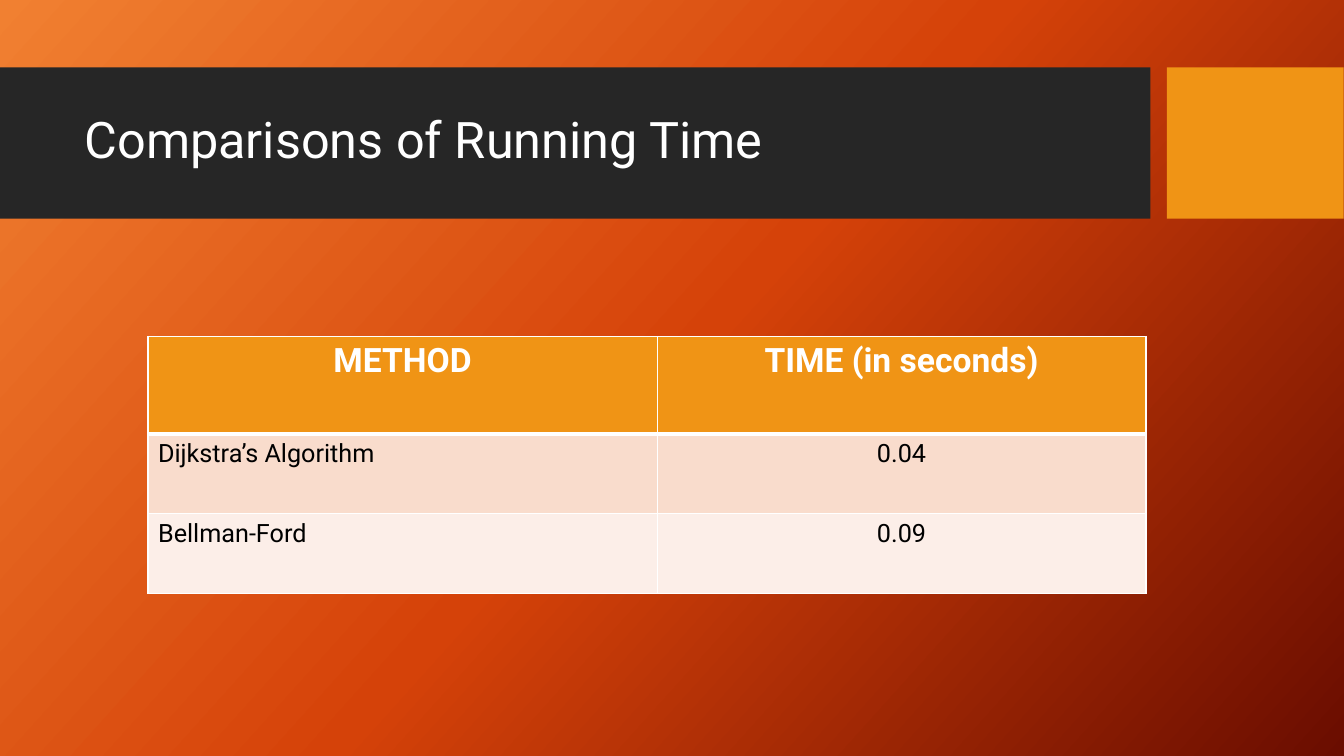
from copy import deepcopy

from lxml.etree import SubElement
from pptx import Presentation
from pptx.dml.color import RGBColor
from pptx.enum.shapes import MSO_SHAPE
from pptx.enum.text import MSO_ANCHOR, PP_ALIGN
from pptx.oxml.ns import qn
from pptx.util import Cm, Pt

WHITE = RGBColor(0xFF, 0xFF, 0xFF)
BLACK = RGBColor(0x00, 0x00, 0x00)
CHARCOAL = RGBColor(0x26, 0x26, 0x26)
AMBER = RGBColor(0xF0, 0x94, 0x15)
PEACH = RGBColor(0xF9, 0xDC, 0xCC)
PALE_PEACH = RGBColor(0xFC, 0xEE, 0xE8)
GRADIENT = [
    (0, RGBColor(0xF1, 0x80, 0x31)),
    (0.5, RGBColor(0xD5, 0x42, 0x09)),
    (1, RGBColor(0x6A, 0x0D, 0x00)),
]

HEADING = "Comparisons of Running Time"
RUNNING_TIMES = [
    ("METHOD", "TIME (in seconds)"),
    ("Dijkstra’s Algorithm", "0.04"),
    ("Bellman-Ford", "0.09"),
]
ROW_FILLS = [AMBER, PEACH, PALE_PEACH]
ROW_HEIGHTS = [Cm(2.46), Cm(2.01), Cm(2.01)]
COLUMN_WIDTHS = [Cm(12.83), Cm(12.32)]
BANDS = [
    (Cm(0), Cm(28.99), CHARCOAL),
    (Cm(29.41), Cm(4.45), AMBER),
]
BAND_TOP, BAND_HEIGHT = Cm(1.7), Cm(3.81)


def write(frame, text, size, color, bold=False, align=PP_ALIGN.LEFT, spacing=1.0):
    paragraph = frame.paragraphs[0]
    paragraph.alignment = align
    paragraph.line_spacing = spacing
    run = paragraph.add_run()
    run.text = text
    run.font.name = "Roboto"
    run.font.size = Pt(size)
    run.font.bold = bold
    run.font.color.rgb = color


def paint_background(slide):
    backdrop = slide.background.fill
    backdrop.gradient()
    backdrop.gradient_angle = 360 - 42
    stop_list = slide.element.find(".//" + qn("a:gsLst"))
    stop_list.append(deepcopy(stop_list[0]))
    for stop, (position, color) in zip(backdrop.gradient_stops, GRADIENT):
        stop.position = position
        stop.color.rgb = color


def add_bands(slide):
    for left, width, color in BANDS:
        band = slide.shapes.add_shape(
            MSO_SHAPE.RECTANGLE, left, BAND_TOP, width, BAND_HEIGHT)
        band.shadow.inherit = False
        band.fill.solid()
        band.fill.fore_color.rgb = color
        band.line.fill.background()


def add_heading(slide):
    heading = slide.shapes.title
    heading.left, heading.top = Cm(1.88), Cm(2.08)
    heading.width, heading.height = Cm(26.7), Cm(3)
    heading.text_frame.word_wrap = True
    heading.text_frame.vertical_anchor = MSO_ANCHOR.MIDDLE
    write(heading.text_frame, HEADING, 36, WHITE, spacing=0.9)
    slide.shapes.element.append(heading.element)


def set_borders(cell, widths):
    properties = cell._tc.get_or_add_tcPr()
    for index, (side, width) in enumerate(widths.items()):
        border = SubElement(properties, qn(f"a:ln{side}"), w=str(Pt(width)))
        color = SubElement(SubElement(border, qn("a:solidFill")), qn("a:srgbClr"))
        color.set("val", str(WHITE))
        properties.insert(index, border)


def add_running_times(slide):
    table = slide.shapes.add_table(
        len(RUNNING_TIMES), len(COLUMN_WIDTHS), Cm(3.73), Cm(8.48),
        sum(COLUMN_WIDTHS), sum(ROW_HEIGHTS)).table
    for column, width in zip(table.columns, COLUMN_WIDTHS):
        column.width = width
    for r, (entries, height) in enumerate(zip(RUNNING_TIMES, ROW_HEIGHTS)):
        table.rows[r].height = height
        header = r == 0
        for c, entry in enumerate(entries):
            cell = table.cell(r, c)
            cell.fill.solid()
            cell.fill.fore_color.rgb = ROW_FILLS[r]
            set_borders(cell, {"L": 1, "R": 1, "T": 3 if r == 1 else 1,
                               "B": 3 if header else 1})
            write(cell.text_frame, entry, 24 if header else 18,
                  WHITE if header else BLACK, bold=header,
                  align=PP_ALIGN.CENTER if header or c else PP_ALIGN.LEFT)


def main():
    deck = Presentation()
    deck.slide_width, deck.slide_height = Cm(33.87), Cm(19.05)
    slide = deck.slides.add_slide(deck.slide_layouts[5])
    paint_background(slide)
    add_bands(slide)
    add_heading(slide)
    add_running_times(slide)
    deck.save("out.pptx")


if __name__ == "__main__":
    main()
